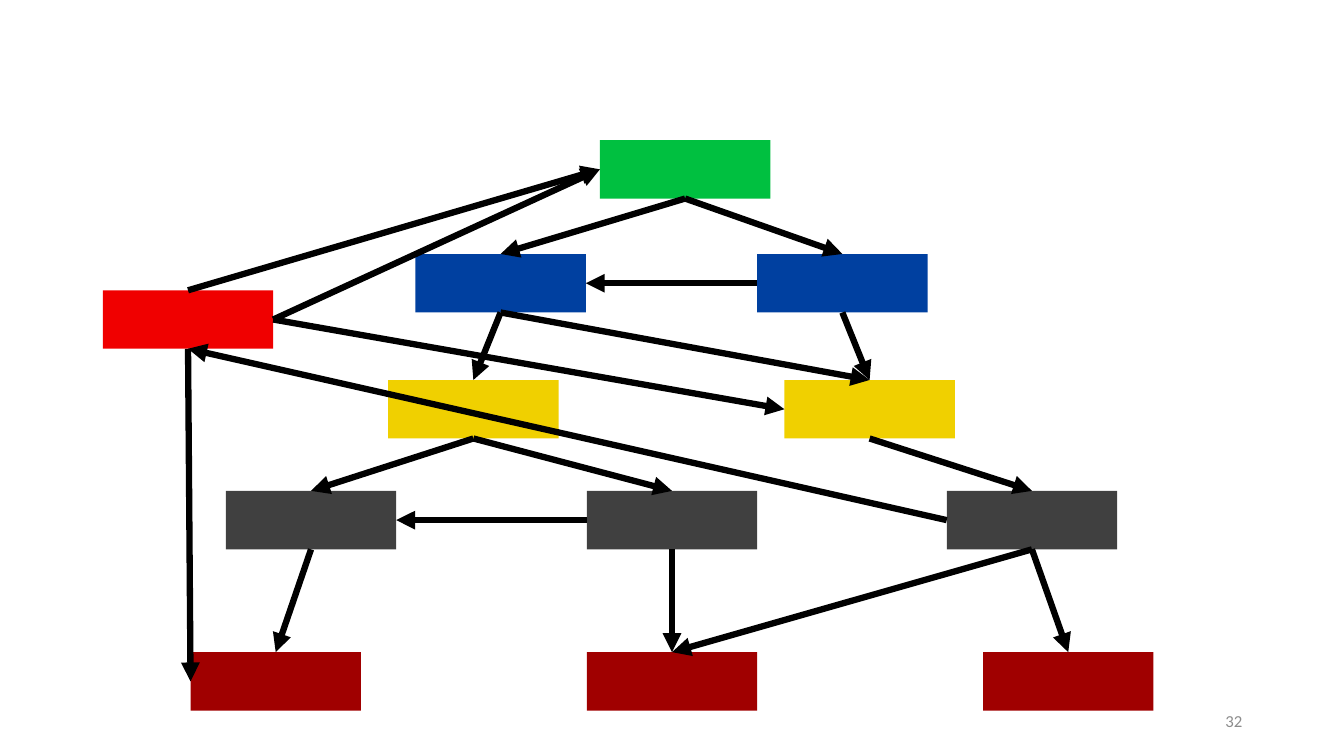
from lxml import etree
from pptx import Presentation
from pptx.dml.color import RGBColor
from pptx.enum.shapes import MSO_CONNECTOR as Connector, MSO_SHAPE as Shape
from pptx.enum.text import MSO_ANCHOR as Anchor, PP_ALIGN as Align
from pptx.oxml.ns import qn
from pptx.util import Inches, Pt

BLACK = RGBColor(0x00, 0x00, 0x00)
GREY = RGBColor(0x8C, 0x8C, 0x8C)
GREEN = RGBColor(0x00, 0xC0, 0x40)
BLUE = RGBColor(0x00, 0x40, 0xA0)
YELLOW = RGBColor(0xF0, 0xD0, 0x00)
CHARCOAL = RGBColor(0x40, 0x40, 0x40)
MAROON = RGBColor(0xA0, 0x00, 0x00)
RED = RGBColor(0xF0, 0x00, 0x00)

TOP, LEFT, BOTTOM, RIGHT = range(4)
NODE_WIDTH, NODE_HEIGHT = 1.69, 0.58

LEVELS = [
    (GREEN, 0.37, {"root": 4.93}),
    (BLUE, 1.5, {"blue left": 3.1, "blue right": 6.49}),
    (YELLOW, 2.75, {"yellow left": 2.83, "yellow right": 6.76}),
    (CHARCOAL, 3.85, {"grey left": 1.22, "grey middle": 4.8, "grey right": 8.37}),
    (MAROON, 5.45, {"leaf left": 0.87, "leaf middle": 4.8, "leaf right": 8.73}),
    (RED, 1.86, {"side": 0}),
]

DOWNWARD_LINKS = [
    ("root", "blue left"),
    ("root", "blue right"),
    ("blue left", "yellow left"),
    ("blue left", "yellow right"),
    ("blue right", "yellow right"),
    ("yellow left", "grey left"),
    ("yellow left", "grey middle"),
    ("yellow right", "grey right"),
    ("grey left", "leaf left"),
    ("grey middle", "leaf middle"),
    ("grey right", "leaf middle"),
    ("grey right", "leaf right"),
]

CROSS_LINKS = [
    ("blue right", LEFT, "blue left", RIGHT),
    ("grey middle", LEFT, "grey left", RIGHT),
    ("side", RIGHT, "root", LEFT),
    ("side", RIGHT, "yellow right", LEFT),
    ("grey right", LEFT, "side", BOTTOM),
    ("side", BOTTOM, "leaf left", LEFT),
    ("side", TOP, "root", LEFT),
]


def add_node(page, left, top, color):
    """Draw one plain rectangle of the graph."""
    box = page.shapes.add_shape(
        Shape.RECTANGLE, Inches(left), Inches(top), Inches(NODE_WIDTH), Inches(NODE_HEIGHT)
    )
    box.shadow.inherit = False
    box.fill.solid()
    box.fill.fore_color.rgb = color
    box.line.fill.background()
    return box


def add_arrow(page, start, start_side, end, end_side):
    """Join two nodes with a thick black arrow."""
    arrow = page.shapes.add_connector(Connector.STRAIGHT, 0, 0, 0, 0)
    arrow.begin_connect(start, start_side)
    arrow.end_connect(end, end_side)
    arrow.line.color.rgb = BLACK
    arrow.line.width = Pt(4.5)
    etree.SubElement(arrow.line._get_or_add_ln(), qn("a:tailEnd"), type="triangle")
    etree.SubElement(arrow._element.spPr, qn("a:effectLst"))


def add_graph(page, left, top):
    """Draw the levels of nodes and their links from the given corner."""
    nodes = {
        name: add_node(page, left + offset, top + level_top, color)
        for color, level_top, level in LEVELS
        for name, offset in level.items()
    }
    for parent, child in DOWNWARD_LINKS:
        add_arrow(page, nodes[parent], BOTTOM, nodes[child], TOP)
    for start, start_side, end, end_side in CROSS_LINKS:
        add_arrow(page, nodes[start], start_side, nodes[end], end_side)


def add_page_number(page, left, top, width, height):
    """Write the page number at the right of its box."""
    box = page.shapes.add_textbox(Inches(left), Inches(top), Inches(width), Inches(height))
    frame = box.text_frame
    frame.word_wrap = True
    frame.vertical_anchor = Anchor.MIDDLE
    para = frame.paragraphs[0]
    para.alignment = Align.RIGHT
    span = para.add_run()
    span.text = "32"
    span.font.name = "Calibri"
    span.font.size = Pt(12)
    span.font.color.rgb = GREY


def main():
    """Build the slide and save the deck."""
    deck = Presentation()
    deck.slide_width, deck.slide_height = Inches(13.33), Inches(7.5)
    page = deck.slides.add_slide(deck.slide_layouts[6])
    add_page_number(page, 9.42, 6.95, 3, 0.4)
    add_graph(page, 1.02, 1.02)
    deck.save("out.pptx")


if __name__ == "__main__":
    main()
